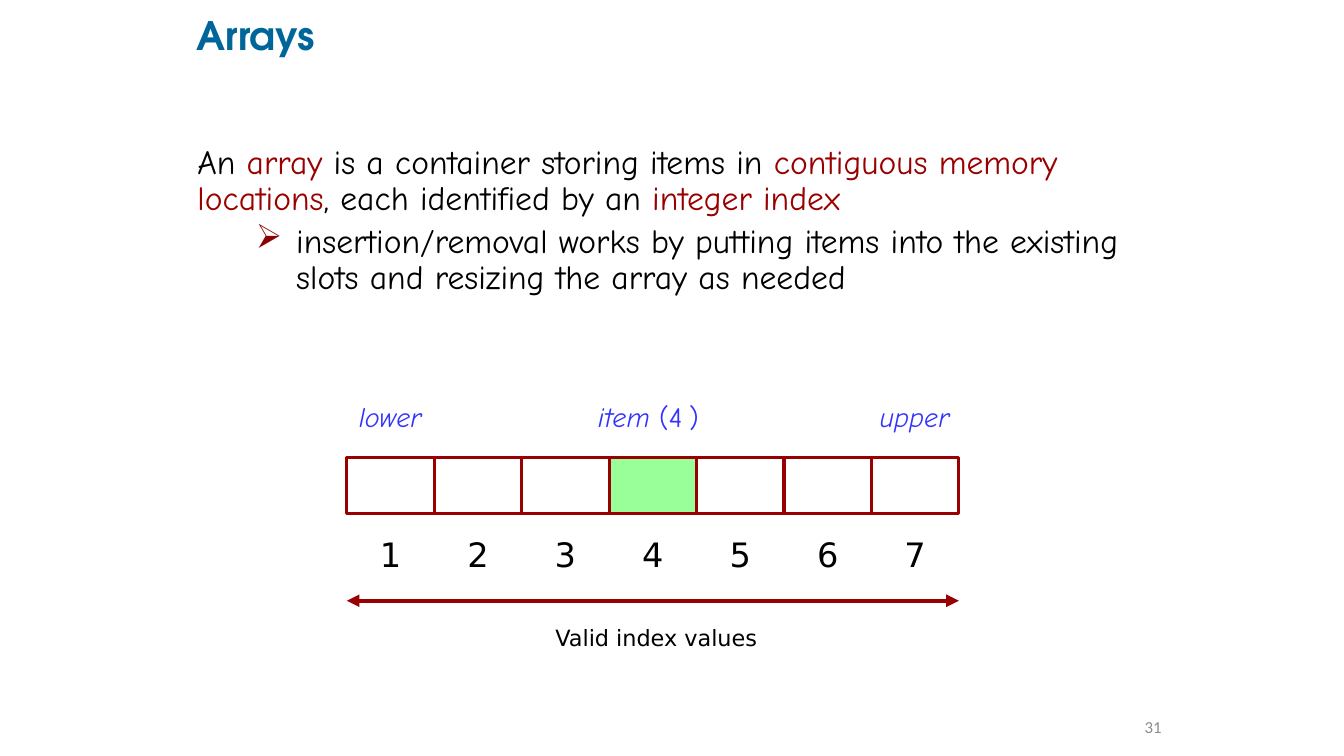
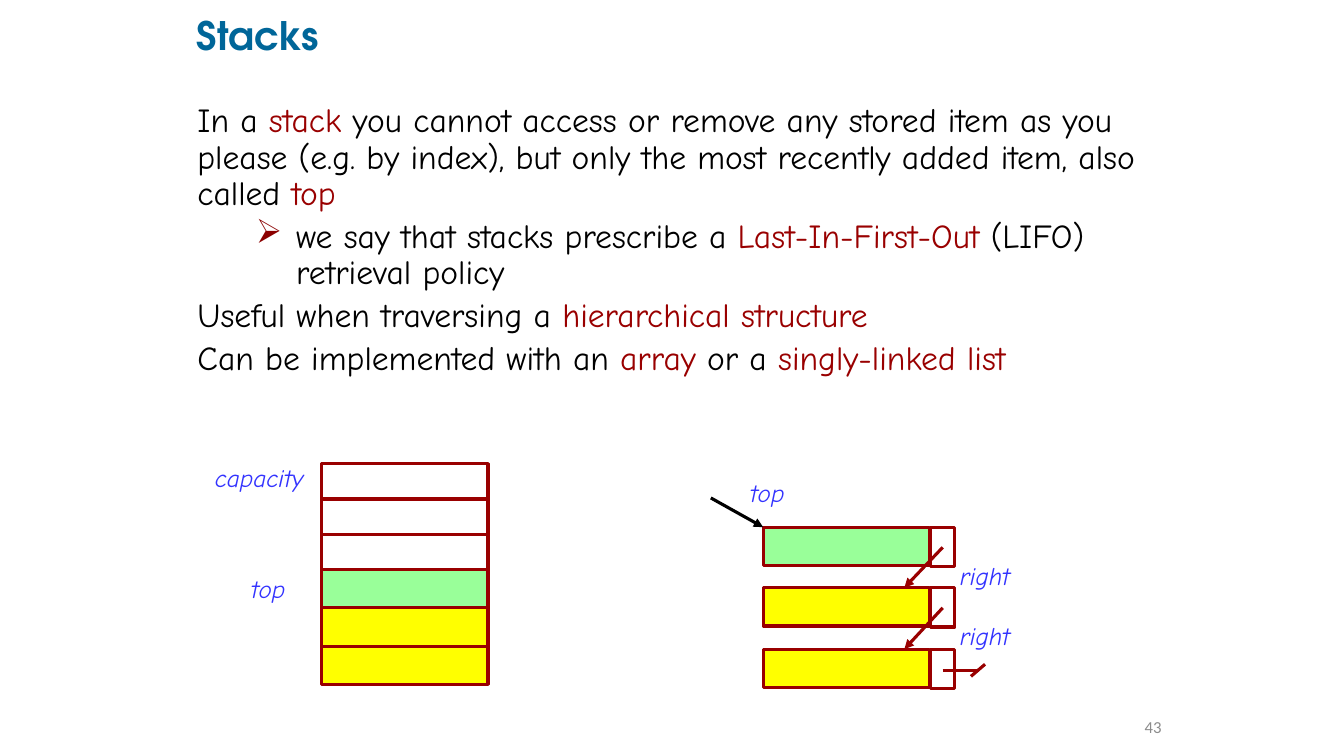
from lxml import etree
from pptx import Presentation
from pptx.dml.color import RGBColor
from pptx.enum.shapes import MSO_CONNECTOR, MSO_SHAPE
from pptx.enum.text import MSO_ANCHOR, PP_ALIGN
from pptx.oxml.ns import qn
from pptx.util import Emu, Pt

BOX = MSO_SHAPE.FLOWCHART_PROCESS
STRAIGHT = MSO_CONNECTOR.STRAIGHT
MIDDLE, TOP = MSO_ANCHOR.MIDDLE, MSO_ANCHOR.TOP
LEFT, CENTER, RIGHT = PP_ALIGN.LEFT, PP_ALIGN.CENTER, PP_ALIGN.RIGHT

SCALE = 9144  # EMU per px, 100 px to the inch
COLORS = {
    "title": "006699",
    "text": "000000",
    "accent": "990000",
    "bullet": "8B0000",
    "label": "3333FF",
    "current": "99FF99",
    "used": "FFFF00",
    "number": "8C8C8C",
}
TITLE_FONT, BODY_FONT = "TeX Gyre Adventor", "Comic Neue"
INDEX_FONT, NUMBER_FONT = "DejaVu Sans", "Calibri"


def px(value):
    return Emu(round(value * SCALE))


def rgb(name):
    return RGBColor.from_string(COLORS[name])


# Basic parts
def add_frame(slide, box, anchor=TOP, margins=(10, 5)):
    frame = slide.shapes.add_textbox(*map(px, box)).text_frame
    frame.word_wrap = True
    frame.vertical_anchor = anchor
    frame.margin_left = frame.margin_right = px(margins[0])
    frame.margin_top = frame.margin_bottom = px(margins[1])
    return frame


def style(paragraph, name, size, color, align=LEFT, bold=False, italic=False):
    paragraph.alignment = align
    font = paragraph.font
    font.name, font.size = name, Pt(size)
    font.bold, font.italic = bold, italic
    font.color.rgb = rgb(color)


def add_text(slide, box, text, name, size, color, align=CENTER):
    paragraph = add_frame(slide, box).paragraphs[0]
    paragraph.text = text
    style(paragraph, name, size, color, align)


def add_label(slide, box, text, size):
    paragraph = add_frame(slide, box).paragraphs[0]
    paragraph.text = text
    style(paragraph, BODY_FONT, size, "label", CENTER, italic=True)
    return paragraph


def add_cell(slide, box, fill=None):
    shape = slide.shapes.add_shape(BOX, *map(px, box))
    shape.shadow.inherit = False
    if fill:
        shape.fill.solid()
        shape.fill.fore_color.rgb = rgb(fill)
    else:
        shape.fill.background()
    shape.line.color.rgb = rgb("accent")
    shape.line.width = Pt(2.25)


def add_line(slide, start, end, color="accent", width=2.25, heads=()):
    connector = slide.shapes.add_connector(STRAIGHT, *map(px, start + end))
    connector.line.color.rgb = rgb(color)
    connector.line.width = Pt(width)
    outline = connector.line._get_or_add_ln()
    for head in heads:
        etree.SubElement(outline, qn("a:" + head), type="triangle")
    etree.SubElement(connector._element.spPr, qn("a:effectLst"))


# Title, body and slide number
def add_bullet(paragraph):
    properties = paragraph._p.get_or_add_pPr()
    properties.set("lvl", "1")
    properties.set("marL", str(px(98)))
    properties.set("indent", str(px(-40)))
    color = etree.SubElement(properties, qn("a:buClr"))
    etree.SubElement(color, qn("a:srgbClr"), val=COLORS["bullet"])
    etree.SubElement(properties, qn("a:buChar"), char="➢")


def add_body(slide, box, lines):
    """Text between asterisks is accented; a leading > marks a bullet."""
    frame = add_frame(slide, box)
    for index, line in enumerate(lines):
        paragraph = frame.add_paragraph() if index else frame.paragraphs[0]
        paragraph.line_spacing = 0.9
        if index:
            paragraph.space_before = Pt(4.8)
        if line.startswith(">"):
            add_bullet(paragraph)
        style(paragraph, BODY_FONT, 24, "text")
        for position, part in enumerate(line.lstrip(">").split("*")):
            if part:
                run = paragraph.add_run()
                run.text = part
                if position % 2:
                    run.font.color.rgb = rgb("accent")


def new_slide(presentation, title, number):
    slide = presentation.slides.add_slide(presentation.slide_layouts[6])
    paragraph = add_frame(slide, (195, 12, 897, 50), MIDDLE, (0, 0)).paragraphs[0]
    paragraph.text = title
    paragraph.line_spacing = 0.9
    style(paragraph, TITLE_FONT, 28, "title", bold=True)
    paragraph = add_frame(slide, (1102, 693, 60, 57), MIDDLE, (10, 10)).paragraphs[0]
    paragraph.text = number
    style(paragraph, NUMBER_FONT, 12, "number", RIGHT)
    return slide


# Diagrams
def add_array(slide, left, top, width, count=7, current=4):
    cell = width / count
    label_top = top - 63
    add_label(slide, (left - 8, label_top, 102, 43), "lower", 20)
    add_label(slide, (left + width - 95, label_top, 102, 43), "upper", 20)
    item = add_label(slide, (left + 228, label_top, 142, 43), "item", 20)
    for text, size in ((" (4", 20), (" ", 14), (")", 20)):
        run = item.add_run()
        run.text = text
        run.font.size, run.font.italic = Pt(size), False

    for index in range(1, count + 1):
        x = left + (index - 1) * cell
        fill = "current" if index == current else None
        add_cell(slide, (x, top, cell, 55), fill)
        add_text(slide, (x, top + 71, cell, 50), str(index), INDEX_FONT, 24, "text")

    add_line(slide, (left, top + 142), (left + width, top + 142),
             width=3, heads=("headEnd", "tailEnd"))
    add_text(slide, (left + 197, top + 160, 222, 37), "Valid index values",
             INDEX_FONT, 16, "text", LEFT)


def add_array_stack(slide, left, top, width):
    y = top
    for fill in (None, None, None, "current", "used", "used"):
        height = 38 if fill else 35
        add_cell(slide, (left, y, width, height), fill)
        y += height
    add_label(slide, (left - 133, top - 6, 142, 40), "capacity", 18)
    add_label(slide, (left - 124, top + 104, 142, 40), "top", 18)


def add_linked_stack(slide, left, top, width):
    pointer = left + width + 1
    center = pointer + 12
    fills = ("current", "used", "used")
    tops = [top + index * 121 // 2 for index in range(len(fills))]
    for y, fill in zip(tops, fills):
        add_cell(slide, (left, y, width, 38), fill)
        add_cell(slide, (pointer, y, 24, 39))

    for y, next_y in zip(tops, tops[1:]):
        add_line(slide, (center, y + 20), (center - 38, next_y), heads=("tailEnd",))
        add_label(slide, (pointer - 17, y + 28, 142, 40), "right", 18)

    # End of the list
    end_y = tops[-1] + 21
    add_line(slide, (center, end_y), (center + 36, end_y))
    add_line(slide, (center + 28, end_y + 6), (center + 42, end_y - 6))

    # Entry point
    add_line(slide, (left - 52, top - 29), (left, top), "text", heads=("tailEnd",))
    add_label(slide, (left - 67, top - 54, 142, 40), "top", 18)


def arrays_slide(presentation):
    slide = new_slide(presentation, "Arrays", "31")
    add_body(slide, (186, 139, 953, 217), [
        "An *array* is a container storing items in *contiguous memory locations*, "
        "each identified by an *integer index*",
        ">insertion/removal works by putting items into the existing slots "
        "and resizing the array as needed",
    ])
    add_array(slide, 344, 454, 607)


def stacks_slide(presentation):
    slide = new_slide(presentation, "Stacks", "43")
    add_body(slide, (186, 98, 953, 320), [
        "In a *stack* you cannot access or remove any stored item as you please "
        "(e.g. by index), but only the most recently added item, also called *top*",
        ">we say that stacks prescribe a *Last-In-First-Out *(LIFO) retrieval policy",
        "Useful when traversing a *hierarchical structure*",
        "Can be implemented with an *array* or a *singly-linked list*",
    ])
    add_array_stack(slide, 319, 460, 165)
    add_linked_stack(slide, 757, 523, 165)


def main():
    presentation = Presentation()
    presentation.slide_width, presentation.slide_height = px(1333), px(750)
    arrays_slide(presentation)
    stacks_slide(presentation)
    presentation.save("out.pptx")


if __name__ == "__main__":
    main()
